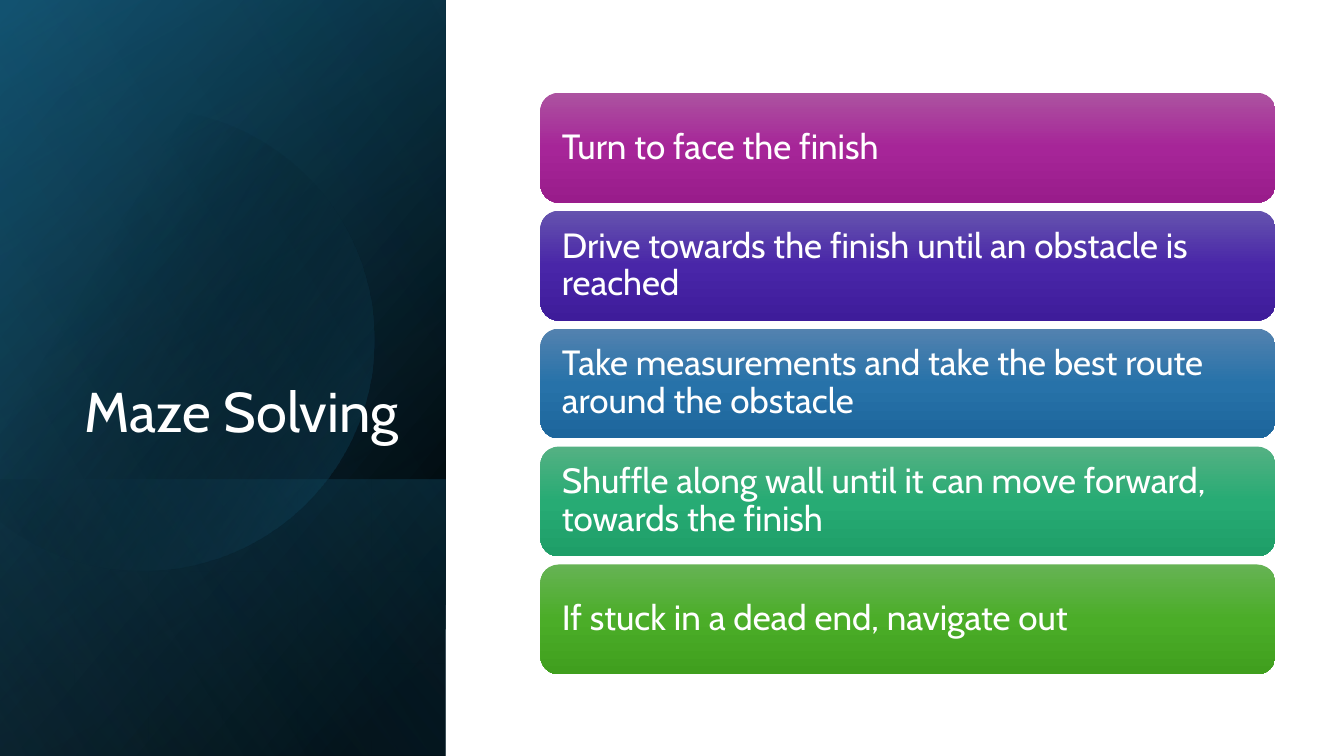
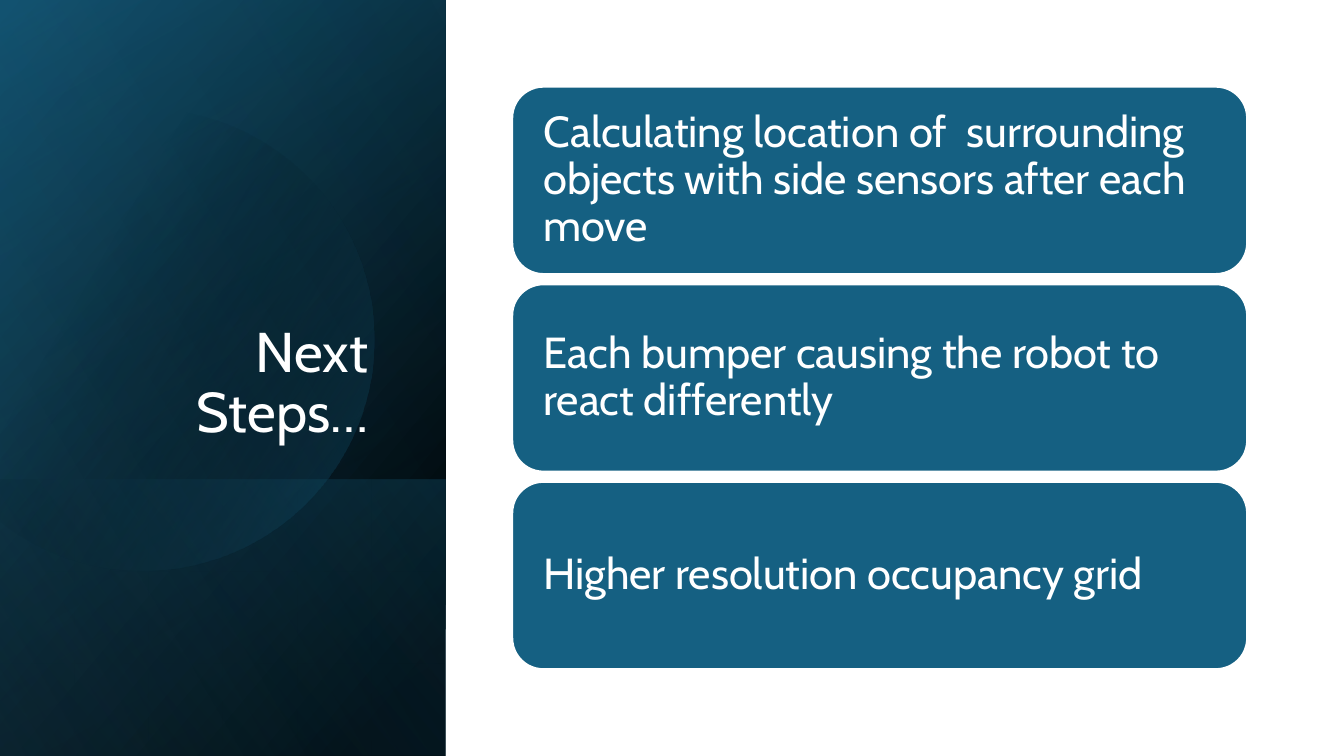
from math import cos, radians, sin

from lxml import etree
from pptx import Presentation
from pptx.dml.color import RGBColor
from pptx.enum.shapes import MSO_SHAPE
from pptx.enum.text import MSO_ANCHOR, PP_ALIGN
from pptx.oxml.ns import qn
from pptx.util import Inches, Pt

RECT, ROUND = MSO_SHAPE.RECTANGLE, MSO_SHAPE.ROUNDED_RECTANGLE
MIDDLE, BOTTOM = MSO_ANCHOR.MIDDLE, MSO_ANCHOR.BOTTOM
LEFT, RIGHT = PP_ALIGN.LEFT, PP_ALIGN.RIGHT

FONT = "Cabin"
WHITE, BLACK, TEAL, NAVY, SKY = "FFFFFF", "000000", "156082", "104862", "46B1E1"

# Content: a box is its text and its fill (gradient colours or one colour)
SLIDES = [
    {
        "title": "Maze Solving", "width": 3.41,
        "left": 5.36, "top": 0.92, "height": 1.09, "step": 1.17,
        "size": 25, "inset": 0.16,
        "boxes": [
            ("Turn to face the finish", ("AC53A0", "A62598", "991C8B")),
            ("Drive towards the finish until an obstacle is reached",
             ("6553AE", "4926A8", "3E1C9A")),
            ("Take measurements and take the best route around the obstacle",
             ("5382AF", "2772A9", "1D669C")),
            ("Shuffle along wall until it can move forward, towards the finish",
             ("54B183", "27AB74", "1E9E68")),
            ("If stuck in a dead end, navigate out",
             ("66B354", "4BAD28", "409F1E")),
        ],
    },
    {
        "title": "Next Steps…", "width": 3.11,
        "left": 5.08, "top": 0.86, "height": 1.86, "step": 1.96,
        "size": 31, "inset": 0.22,
        "boxes": [
            ("Calculating location of  surrounding objects with side sensors "
             "after each move", TEAL),
            ("Each bumper causing the robot to react differently", TEAL),
            ("Higher resolution occupancy grid", TEAL),
        ],
    },
]
BOX_W = 7.29

# Side panel: stops are (position, colour, opacity) in percent
PANEL_W, PANEL_H, BAND_H = 4.42, 7.5, 2.74
BASE = [
    (PANEL_H, [(8, BLACK, 100), (100, NAVY, 100)], 50),
    (PANEL_H, [(0, BLACK, 0), (99, TEAL, 46)], 30),
    (BAND_H, [(2, TEAL, 29), (100, BLACK, 30)], 130),
]
GLOW = (PANEL_H, [(0, BLACK, 0), (99, SKY, 11)], 120)
DISC_X, DISC_Y, DISC_R, DISC_END = 1.42, 3.37, 2.29, 128
DISC_STOPS, DISC_ANGLE = [(29, BLACK, 0), (100, TEAL, 43)], 30


def color(code):
    return RGBColor.from_string(code)


def shade(shape, stops, angle):
    """Fill with a linear gradient; the angle runs clockwise."""
    shape.fill.gradient()
    shape.fill.gradient_angle = (360 - angle) % 360
    rows = shape.element.spPr.find(qn("a:gradFill")).find(qn("a:gsLst"))
    for old in list(rows):
        rows.remove(old)
    for place, code, alpha in stops:
        stop = etree.SubElement(rows, qn("a:gs"), pos=str(place * 1000))
        tone = etree.SubElement(stop, qn("a:srgbClr"), val=code)
        if alpha < 100:
            etree.SubElement(tone, qn("a:alpha"), val=str(alpha * 1000))


def write(shape, text, size, anchor, align):
    frame = shape.text_frame
    frame.word_wrap = True
    frame.vertical_anchor = anchor
    para = frame.paragraphs[0]
    para.text = text
    para.alignment = align
    para.line_spacing = 0.9
    para.font.name = FONT
    para.font.size = Pt(size)
    para.font.color.rgb = color(WHITE)
    return frame


def add_layer(slide, height, stops, angle):
    """A mirrored quarter-turned rectangle standing on the slide's foot."""
    left = (PANEL_W - height) / 2
    top = PANEL_H - (height + PANEL_W) / 2
    layer = slide.shapes.add_shape(
        RECT, Inches(left), Inches(top), Inches(height), Inches(PANEL_W))
    layer.rotation = 90
    layer.element.spPr.find(qn("a:xfrm")).set("flipH", "1")
    layer.shadow.inherit = False
    layer.line.fill.background()
    shade(layer, stops, angle)


def add_disc(slide):
    """A circle cut off by the left edge of the slide."""
    dots = [(Inches(DISC_X + DISC_R * cos(radians(turn))),
             Inches(DISC_Y + DISC_R * sin(radians(turn))))
            for turn in range(-DISC_END, DISC_END + 1, 2)]
    pen = slide.shapes.build_freeform(*dots[0])
    pen.add_line_segments(dots[1:], close=True)
    disc = pen.convert_to_shape()
    disc.shadow.inherit = False
    disc.line.fill.background()
    shade(disc, DISC_STOPS, DISC_ANGLE)


def add_panel(slide, title, width):
    for layer in BASE:
        add_layer(slide, *layer)
    add_disc(slide)
    add_layer(slide, *GLOW)
    head = slide.shapes.add_textbox(
        Inches(0.64), Inches(1.84), Inches(width), Inches(2.62))
    write(head, title, 40, BOTTOM, RIGHT)


def add_boxes(slide, data):
    for row, (text, fill) in enumerate(data["boxes"]):
        box = slide.shapes.add_shape(
            ROUND, Inches(data["left"]),
            Inches(data["top"] + row * data["step"]),
            Inches(BOX_W), Inches(data["height"]))
        box.shadow.inherit = False
        if isinstance(fill, str):
            box.fill.solid()
            box.fill.fore_color.rgb = color(fill)
            box.line.color.rgb = color(WHITE)
            box.line.width = Pt(1.5)
        else:
            shade(box, [(50 * i, code, 100) for i, code in enumerate(fill)], 90)
            box.line.fill.background()
        frame = write(box, text, data["size"], MIDDLE, LEFT)
        frame.margin_left = frame.margin_right = Inches(data["inset"])


def main():
    deck = Presentation()
    deck.slide_width, deck.slide_height = Inches(13.33), Inches(7.5)
    for data in SLIDES:
        slide = deck.slides.add_slide(deck.slide_layouts[6])
        add_panel(slide, data["title"], data["width"])
        add_boxes(slide, data)
    deck.save("out.pptx")


if __name__ == "__main__":
    main()
